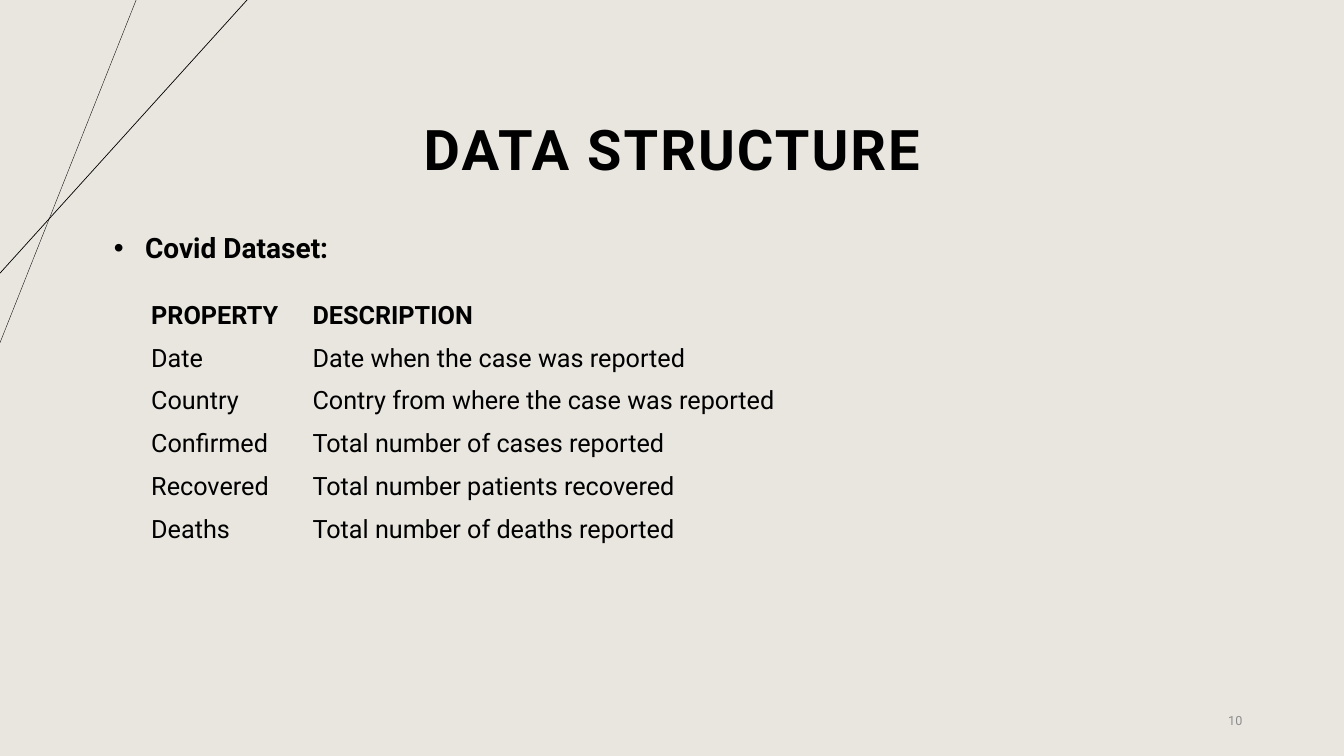
from pptx import Presentation
from pptx.dml.color import RGBColor
from pptx.enum.shapes import MSO_CONNECTOR
from pptx.enum.text import MSO_ANCHOR, PP_ALIGN
from pptx.oxml.ns import qn
from pptx.util import Inches, Pt
from lxml import etree

STRAIGHT = MSO_CONNECTOR.STRAIGHT
TOP, MIDDLE, BOTTOM = MSO_ANCHOR.TOP, MSO_ANCHOR.MIDDLE, MSO_ANCHOR.BOTTOM
LEFT, CENTER, RIGHT = PP_ALIGN.LEFT, PP_ALIGN.CENTER, PP_ALIGN.RIGHT

COLORS = {"back": "E9E6DF", "ink": "000000", "muted": "8C8C8C"}
FONT = "Roboto"
NO_GRID = "{2D5ABB26-0587-4C30-8999-92F81FD0307C}"

FIELDS = [
    ("PROPERTY", "DESCRIPTION"),
    ("Date", "Date when the case was reported"),
    ("Country", "Contry from where the case was reported"),
    ("Confirmed", "Total number of cases reported"),
    ("Recovered", "Total number patients recovered"),
    ("Deaths", "Total number of deaths reported"),
]


def color(name):
    return RGBColor.from_string(COLORS[name])


def assign(target, values):
    for name, value in values.items():
        setattr(target, name, value)


class Deck:
    """Holds the shared style and the current slide."""

    def __init__(self, width, height):
        self.prs = Presentation()
        self.prs.slide_width = Inches(width)
        self.prs.slide_height = Inches(height)
        self.slide = self.prs.slides.add_slide(self.prs.slide_layouts[6])
        fill = self.slide.background.fill
        fill.solid()
        fill.fore_color.rgb = color("back")

    def label(self, par, text, size, bold=False, ink="ink"):
        """Add a styled run to a paragraph."""
        run = par.add_run()
        run.text = text
        assign(run.font, {"name": FONT, "size": Pt(size), "bold": bold})
        run.font.color.rgb = color(ink)
        return run

    def line(self, start, end, width):
        ends = [Inches(v) for v in (*start, *end)]
        line = self.slide.shapes.add_connector(STRAIGHT, *ends)
        line.line.color.rgb = color("ink")
        line.line.width = Pt(width)
        etree.SubElement(line.element.spPr, qn("a:effectLst"))

    def text(self, box, text, size, anchor=TOP, align=LEFT, **style):
        """Add a one-paragraph text box; return its paragraph and run."""
        shape = self.slide.shapes.add_textbox(*[Inches(v) for v in box])
        frame = shape.text_frame
        assign(frame, {"word_wrap": True, "vertical_anchor": anchor})
        par = frame.paragraphs[0]
        par.alignment = align
        return par, self.label(par, text, size, **style)

    def title(self, box, text):
        par, run = self.text(box, text, 40, MIDDLE, CENTER, bold=True)
        par.line_spacing = 0.9
        run.font._element.set("spc", "150")

    def bullet(self, box, text, indent):
        par, _ = self.text(box, text, 20, bold=True)
        props = par._p.get_or_add_pPr()
        props.set("marL", str(Inches(indent)))
        props.set("indent", str(-Inches(indent)))
        font = etree.SubElement(props, qn("a:buFont"))
        font.set("typeface", "Arial")
        etree.SubElement(props, qn("a:buChar")).set("char", "•")

    def table(self, left, top, widths, height, rows):
        """Add a plain table whose first row is bold."""
        size = (left, top, sum(widths), height * len(rows))
        frame = self.slide.shapes.add_table(
            len(rows), len(widths), *[Inches(v) for v in size])
        table = frame.table
        assign(table, {"first_row": False, "horz_banding": False})
        next(frame.element.iter(qn("a:tableStyleId"))).text = NO_GRID
        for col, width in zip(table.columns, widths):
            col.width = Inches(width)
        edge = Inches(0.01)
        form = {"vertical_anchor": BOTTOM, "margin_left": edge,
                "margin_right": edge, "margin_top": edge, "margin_bottom": 0}
        for r, row in enumerate(rows):
            table.rows[r].height = Inches(height)
            for c, text in enumerate(row):
                cell = table.cell(r, c)
                assign(cell, form)
                cell.fill.background()
                self.label(cell.text_frame.paragraphs[0], text, 18, r == 0)


def main():
    deck = Deck(13.33, 7.5)
    deck.line((1.35, 0), (0, 3.4), 0.25)
    deck.line((2.45, 0), (0, 2.71), 0.5)
    deck.title((2.06, 0.79, 9.21, 1.45), "DATA STRUCTURE")
    deck.text((9.42, 6.95, 3, 0.4), "10", 9, MIDDLE, RIGHT, ink="muted")
    deck.bullet((1.03, 2.24, 11.39, 0.44), "Covid Dataset:", 0.31)
    deck.table(1.49, 2.85, (1.6, 5.99), 2.56 / len(FIELDS), FIELDS)
    deck.prs.save("out.pptx")


if __name__ == "__main__":
    main()
